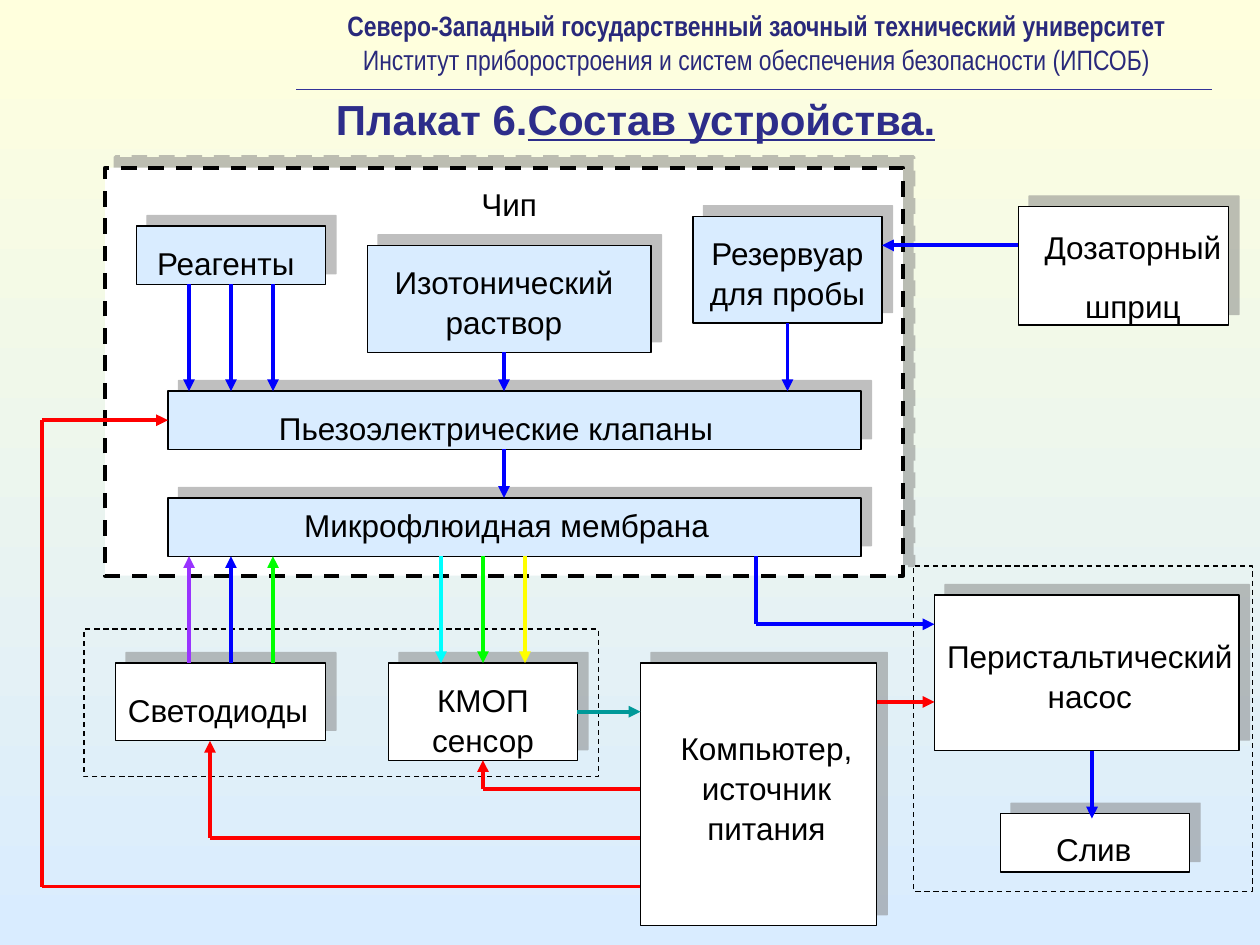
from lxml import etree
from pptx import Presentation
from pptx.dml.color import RGBColor as RGB
from pptx.enum.dml import MSO_LINE
from pptx.enum.shapes import MSO_CONNECTOR, MSO_SHAPE
from pptx.enum.text import MSO_ANCHOR, PP_ALIGN as AL
from pptx.oxml import parse_xml
from pptx.oxml.ns import nsdecls, qn
from pptx.util import Inches, Pt

C = dict(top="FFFFDD", pale="D9ECFF", white="FFFFFF", black="000000", title="2D2D8A",
         head="29297B", rule="333399", blue="0000FF", red="FF0000", violet="9933FF",
         green="00FF00", cyan="00FFFF", yellow="FFFF00", teal="009999")
COL, ROW, TOP = 1 / 12, 0.0771, 0.02  # grid of 120 columns and 97 rows
PAGE = (0, 0, 120, 97)
LABEL = dict(size=Pt(18), name="Arial")
SHADOW = ('<a:outerShdw %s dist="107950" dir="18900000" algn="ctr" rotWithShape="0">'
          '<a:srgbClr val="808080"><a:alpha val="50000"/></a:srgbClr></a:outerShdw>')


def color(name):
    return RGB.from_string(C[name])


def place(area, x, y):
    """Grid position inside an area, as slide lengths."""
    return Inches((area[0] + x) * COL), Inches(TOP + (area[1] + y) * ROW)


def box(area, rect):
    x, y, w, h = rect
    return *place(area, x, y), Inches(w * COL), Inches(h * ROW)


def style(font, ink, **fmt):
    for key, value in fmt.items():
        setattr(font, key, value)
    font.color.rgb = color(ink)


def block(s, area, rect, fill=None, width=0.75, dash=False):
    sp = s.shapes.add_shape(MSO_SHAPE.RECTANGLE, *box(area, rect))
    sp.shadow.inherit = False
    sp.line.color.rgb = color("black")
    sp.line.width = Pt(width)
    if dash:
        sp.line.dash_style = MSO_LINE.DASH
    if fill:
        sp.fill.solid()
        sp.fill.fore_color.rgb = color(fill)
        effects = sp._element.spPr.find(qn("a:effectLst"))
        effects.append(parse_xml(SHADOW % nsdecls("a")))
    else:
        sp.fill.background()


def label(s, area, rect, *lines, align=AL.CENTER):
    tf = s.shapes.add_textbox(*box(area, rect)).text_frame
    tf.word_wrap = True
    for i, line in enumerate(lines):
        p = tf.add_paragraph() if i else tf.paragraphs[0]
        p.alignment, p.line_spacing = align, 1.05
        if i:
            p.space_before = Pt(11.2)
        r = p.add_run()
        r.text = line
        style(r.font, "black", **LABEL)


def segment(s, start, end, ink, width=2.25, arrow=False):
    ln = s.shapes.add_connector(MSO_CONNECTOR.STRAIGHT, *start, *end)
    ln.line.color.rgb = color(ink)
    ln.line.width = Pt(width)
    if arrow:
        etree.SubElement(ln.line._get_or_add_ln(), qn("a:tailEnd"), type="triangle")
    etree.SubElement(ln._element.spPr, qn("a:effectLst"))


def route(s, area, ink, *points):
    """Straight segments through the points, with an arrowhead at the last."""
    ends = [place(area, *pt) for pt in points]
    for i, (a, b) in enumerate(zip(ends, ends[1:]), 2):
        segment(s, a, b, ink, arrow=i == len(ends))


def header(s):
    tf = s.shapes.add_textbox(Inches(2.64), Inches(0.02), Inches(6.73), Inches(0.64)).text_frame
    tf.word_wrap = False
    lines = ("Северо-Западный государственный заочный технический университет",
             "Институт приборостроения и систем обеспечения безопасности (ИПСОБ)")
    for i, line in enumerate(lines):
        p = tf.add_paragraph() if i else tf.paragraphs[0]
        p.alignment = AL.CENTER
        r = p.add_run()
        r.text = line
        style(r.font, "head", size=Pt(16), name="Arial Narrow", bold=not i)
    y = Inches(0.71)
    segment(s, (Inches(2.35), y), (Inches(9.62), y), "rule", 0.75)


def title(s):
    sp = s.shapes.title
    sp.left, sp.top, sp.width, sp.height = map(Inches, (1.67, 0.67, 6.75, 0.5))
    tf = sp.text_frame
    tf.vertical_anchor, tf.word_wrap = MSO_ANCHOR.TOP, True
    p = tf.paragraphs[0]
    p.alignment, p.line_spacing = AL.CENTER, 1.05
    for text, line in (("Плакат 6.", False), ("Состав устройства.", True)):
        r = p.add_run()
        r.text = text
        style(r.font, "title", size=Pt(24), name="Arial", bold=True, underline=line)


def chip(s, area):
    block(s, area, (0, 0, *area[2:]), "white", 2.25, dash=True)
    label(s, area, (30, 1, 17, 5), "Чип")
    parts = (  # block, label, text
        ((3, 6, 18, 6), (2, 7, 19, 5), "Реагенты"),
        ((25, 8, 27, 11), (26, 9, 24, 9), "Изотонический раствор"),
        ((56, 5, 18, 11), (55, 6, 20, 9), "Резервуар для пробы"),
        ((6, 23, 66, 6), (7, 24, 60.5, 5), "Пьезоэлектрические клапаны"),
        ((6, 34, 66, 6), (11, 34, 54.5, 5), "Микрофлюидная мембрана"))
    for rect, spot, text in parts:
        block(s, area, rect, "pale")
        label(s, area, spot, text)
    # Flow down to the valves, then to the membrane
    for x, y1, y2 in ((8, 12, 23), (12, 12, 23), (16, 12, 23),
                      (38, 19, 23), (65, 16, 23), (38, 29, 34)):
        route(s, area, "blue", (x, y1), (x, y2))


def optics(s, area):
    block(s, area, (0, 0, *area[2:]), dash=True)
    block(s, area, (3, 3.5, 20, 8), "white")
    label(s, area, (3, 5.5, 21, 5), "Светодиоды", align=AL.LEFT)
    block(s, area, (29, 3.5, 18, 10), "white")
    label(s, area, (30, 4.5, 16, 9), "КМОП сенсор")


def pump(s, area):
    block(s, area, (0, 0, *area[2:]), dash=True)
    block(s, area, (2, 3, 29, 16), "white")
    label(s, area, (1.3, 6.5, 31, 9), "Перистальтический насос")
    block(s, area, (8.3, 25.5, 18, 6), "white")
    label(s, area, (12.4, 26.3, 11, 5), "Слив", align=AL.LEFT)
    route(s, area, "blue", (17, 19), (17, 26))


def unit(s, area, spot, *lines):
    block(s, area, (0, 0, *area[2:]), "white")
    label(s, area, spot, *lines)


def links(s):
    # Light up to the membrane and back down to the sensor
    for i, (up, down) in enumerate((("violet", "cyan"), ("blue", "green"), ("green", "yellow"))):
        route(s, PAGE, up, (18 + 4 * i, 68), (18 + 4 * i, 57))
        route(s, PAGE, down, (42 + 4 * i, 57), (42 + 4 * i, 68))
    # Liquid
    route(s, PAGE, "blue", (97, 25), (84, 25))
    route(s, PAGE, "blue", (72, 57), (72, 64), (89, 64))
    # Signal and power
    route(s, PAGE, "teal", (55, 73), (61, 73))
    route(s, PAGE, "red", (83.5, 72), (89, 72))
    route(s, PAGE, "red", (61, 81), (46, 81), (46, 78))
    route(s, PAGE, "red", (61, 86), (20, 86), (20, 76))
    route(s, PAGE, "red", (61, 91), (4, 91), (4, 43), (16, 43))


def main():
    prs = Presentation()
    prs.slide_width, prs.slide_height = Inches(10), Inches(7.5)
    s = prs.slides.add_slide(prs.slide_layouts[5])
    bg = s.background.fill
    bg.gradient()
    bg.gradient_angle = 270
    for stop, name in zip(bg.gradient_stops, ("top", "pale")):
        stop.color.rgb = color(name)
    title(s)
    unit(s, (97, 21, 20, 12.2), (-4, 1.4, 29.8, 11), "Дозаторный", "шприц")
    unit(s, (61, 68, 22.5, 27), (2, 6, 20, 13), "Компьютер, источник питания")
    chip(s, (10, 17, 76, 42))
    optics(s, (8, 64.5, 49, 15.2))
    pump(s, (87, 58, 32.3, 33.5))
    links(s)
    header(s)
    prs.save("out.pptx")


if __name__ == "__main__":
    main()
